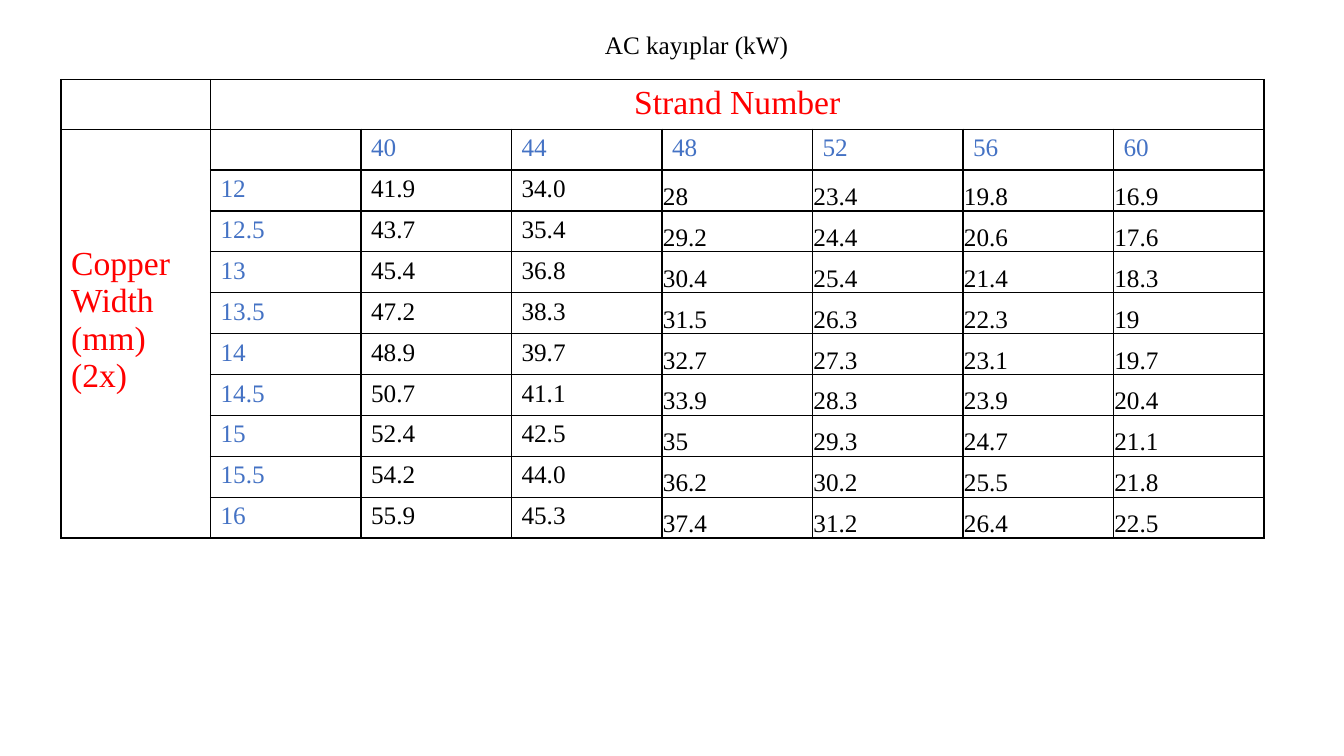
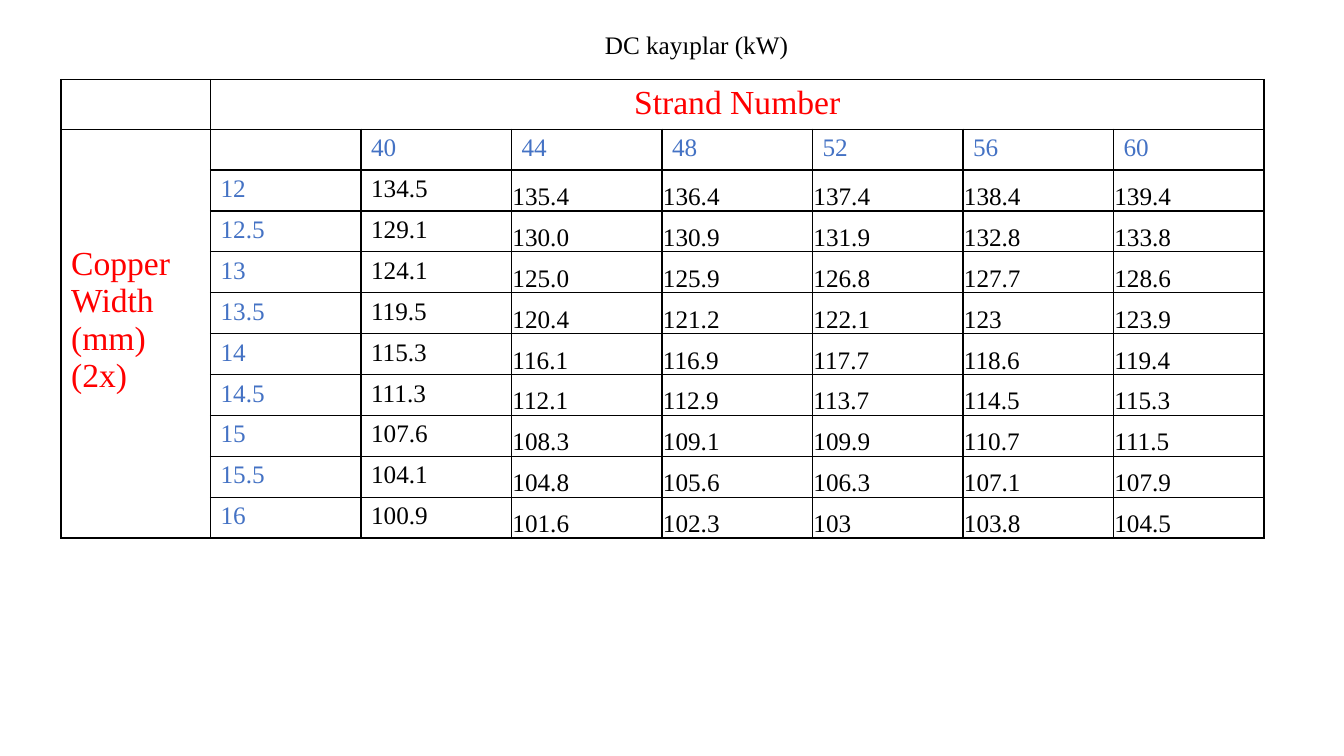
"""Build two slides of winding-loss tables by copper width and strand number."""
from dataclasses import dataclass

from lxml import etree
from pptx import Presentation
from pptx import util as u
from pptx.dml.color import RGBColor
from pptx.enum import text
from pptx.oxml import ns

FONT = "Times New Roman"
BLACK, WHITE, RED, BLUE = "000000", "FFFFFF", "FF0000", "4472C4"
BODY_SIZE, HEADING_SIZE = 18, 24
TABLE_LEFT, TABLE_TOP = 43.6, 56.8
LABEL_WIDTH, COLUMN_WIDTH = 106.8, 107.5
HEADING_HEIGHT, ROW_HEIGHT = 35.5, 29.2
LABEL_TOP_MARGIN = 83.3
TIGHT_MARGIN = 0.72
STRANDS = ["40", "44", "48", "52", "56", "60"]
WIDTHS = ["12", "12.5", "13", "13.5", "14", "14.5", "15", "15.5", "16"]


@dataclass(frozen=True)
class LossTable:
    """Losses by copper width, with the number of columns set in full margins."""
    title: str
    padded_columns: int
    rows: list[str]


LOSS_TABLES = [
    LossTable("AC kayıplar (kW)", 2, [
        "41.9 34.0 28 23.4 19.8 16.9",
        "43.7 35.4 29.2 24.4 20.6 17.6",
        "45.4 36.8 30.4 25.4 21.4 18.3",
        "47.2 38.3 31.5 26.3 22.3 19",
        "48.9 39.7 32.7 27.3 23.1 19.7",
        "50.7 41.1 33.9 28.3 23.9 20.4",
        "52.4 42.5 35 29.3 24.7 21.1",
        "54.2 44.0 36.2 30.2 25.5 21.8",
        "55.9 45.3 37.4 31.2 26.4 22.5",
    ]),
    LossTable("DC kayıplar (kW)", 1, [
        "134.5 135.4 136.4 137.4 138.4 139.4",
        "129.1 130.0 130.9 131.9 132.8 133.8",
        "124.1 125.0 125.9 126.8 127.7 128.6",
        "119.5 120.4 121.2 122.1 123 123.9",
        "115.3 116.1 116.9 117.7 118.6 119.4",
        "111.3 112.1 112.9 113.7 114.5 115.3",
        "107.6 108.3 109.1 109.9 110.7 111.5",
        "104.1 104.8 105.6 106.3 107.1 107.9",
        "100.9 101.6 102.3 103 103.8 104.5",
    ]),
]


def color(value: str) -> RGBColor:
    """Turn a hex string into a colour."""
    return RGBColor.from_string(value)


def write(frame, words: str, size: float, ink: str, centered: bool = False) -> None:
    """Write one formatted paragraph into a text frame."""
    frame.text = words
    paragraph = frame.paragraphs[0]
    paragraph.alignment = text.PP_ALIGN.CENTER if centered else text.PP_ALIGN.LEFT
    paragraph.font.name = FONT
    paragraph.font.size = u.Pt(size)
    paragraph.font.color.rgb = color(ink)


def style_cell(cell) -> None:
    """Give a cell a white fill and thin black borders."""
    cell.fill.solid()
    cell.fill.fore_color.rgb = color(WHITE)
    properties = cell._tc.get_or_add_tcPr()
    for index, side in enumerate(("lnL", "lnR", "lnT", "lnB")):
        line = etree.Element(ns.qn(f"a:{side}"), w=str(u.Pt(1)))
        fill = etree.SubElement(line, ns.qn("a:solidFill"))
        etree.SubElement(fill, ns.qn("a:srgbClr"), val=BLACK)
        properties.insert(index, line)


def add_title(slide, words: str) -> None:
    """Place the slide title above the table."""
    title = slide.shapes.title
    title.left, title.top = u.Pt(424), u.Pt(17.3)
    title.width, title.height = u.Pt(147), u.Pt(29)
    frame = title.text_frame
    write(frame, words, BODY_SIZE, BLACK, centered=True)
    frame.word_wrap = False
    frame.vertical_anchor = text.MSO_ANCHOR.TOP


def add_grid(slide):
    """Add the empty bordered table with its merged headings."""
    row_count, column_count = len(WIDTHS) + 2, len(STRANDS) + 2
    table = slide.shapes.add_table(
        row_count, column_count, u.Pt(TABLE_LEFT), u.Pt(TABLE_TOP),
        u.Pt(LABEL_WIDTH + COLUMN_WIDTH * (column_count - 1)),
        u.Pt(HEADING_HEIGHT + ROW_HEIGHT * (row_count - 1))).table
    table.first_row = table.horz_banding = False
    for index, column in enumerate(table.columns):
        column.width = u.Pt(COLUMN_WIDTH if index else LABEL_WIDTH)
    for index, row in enumerate(table.rows):
        row.height = u.Pt(ROW_HEIGHT if index else HEADING_HEIGHT)
    for cell in table.iter_cells():
        style_cell(cell)
    table.cell(0, 1).merge(table.cell(0, column_count - 1))
    table.cell(1, 0).merge(table.cell(row_count - 1, 0))
    return table


def fill_headings(table) -> None:
    """Write the red axis names and the blue axis values."""
    write(table.cell(0, 1).text_frame, "Strand Number", HEADING_SIZE, RED, centered=True)
    label = table.cell(1, 0)
    label.margin_top = u.Pt(LABEL_TOP_MARGIN)
    write(label.text_frame, "Copper Width (mm) (2x)", HEADING_SIZE, RED)
    for column, strand in enumerate(STRANDS, 2):
        write(table.cell(1, column).text_frame, strand, BODY_SIZE, BLUE)
    for row, width in enumerate(WIDTHS, 2):
        write(table.cell(row, 1).text_frame, width, BODY_SIZE, BLUE)


def fill_losses(table, losses: LossTable) -> None:
    """Write the loss values, with tight bottom-aligned cells after the padded ones."""
    for row, values in enumerate(losses.rows, 2):
        for column, value in enumerate(values.split(), 2):
            cell = table.cell(row, column)
            write(cell.text_frame, value, BODY_SIZE, BLACK)
            if column >= losses.padded_columns + 2:
                cell.vertical_anchor = text.MSO_ANCHOR.BOTTOM
                cell.margin_left = cell.margin_right = cell.margin_top = u.Pt(TIGHT_MARGIN)
                cell.margin_bottom = u.Pt(0)


def main() -> None:
    """Build and save the presentation."""
    presentation = Presentation()
    presentation.slide_width, presentation.slide_height = u.Pt(960), u.Pt(540)
    for losses in LOSS_TABLES:
        slide = presentation.slides.add_slide(presentation.slide_layouts[5])
        add_title(slide, losses.title)
        table = add_grid(slide)
        fill_headings(table)
        fill_losses(table, losses)
    presentation.save("out.pptx")


if __name__ == "__main__":
    main()
